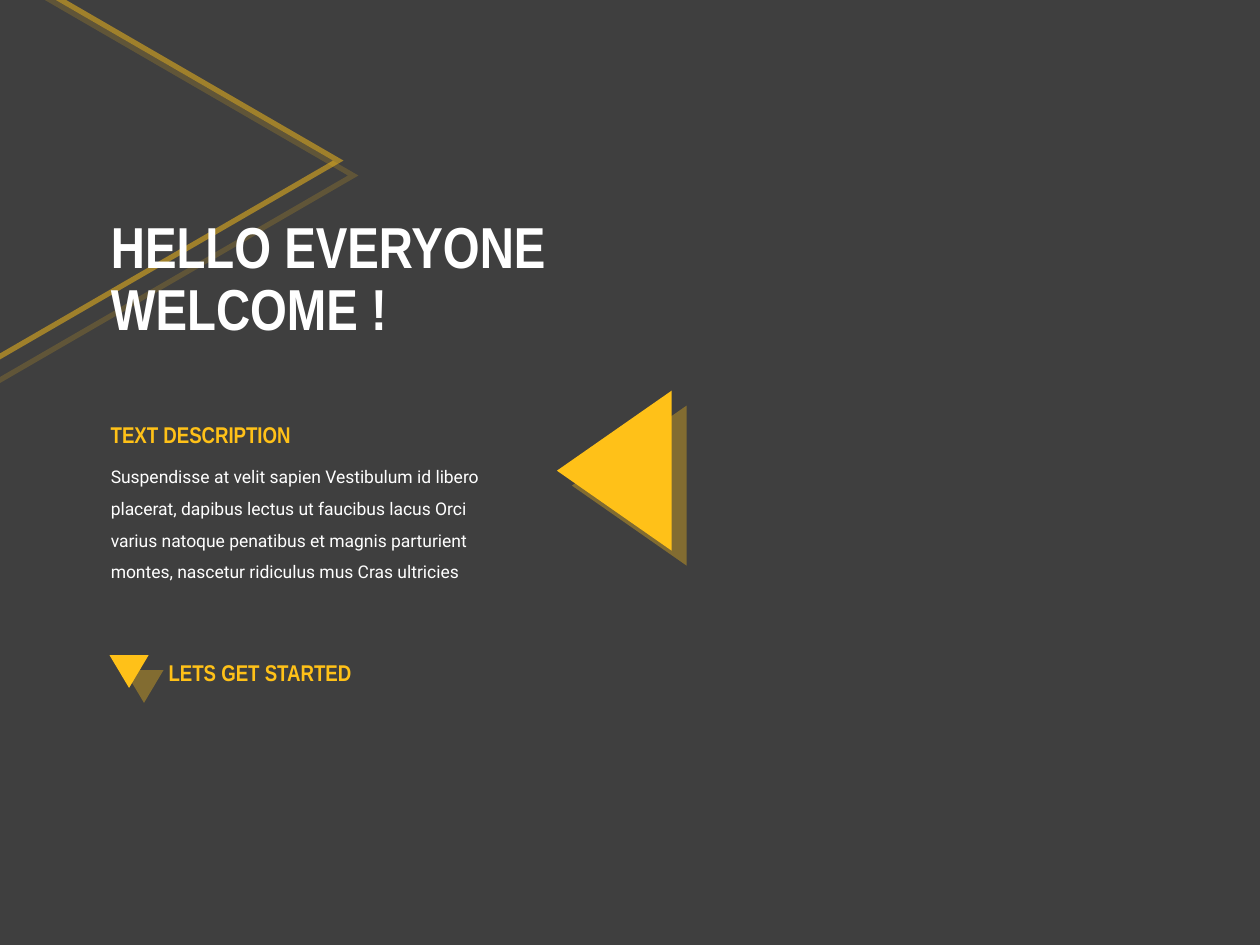
from lxml import etree
from pptx import Presentation
from pptx.dml.color import RGBColor
from pptx.enum import shapes, text
from pptx.oxml.ns import qn
from pptx.util import Pt

GOLD, WHITE, GREY = "FFC118", "FFFFFF", "3F3F3F"
HEADING, BODY = "Arial Narrow", "Roboto"
LEFT = 56.2


def paint(fill, colour):
    """Give a fill one solid colour."""
    fill.solid()
    fill.fore_color.rgb = RGBColor.from_string(colour)


def set_alpha(colour_element, percent):
    """Make a colour element partly transparent."""
    etree.SubElement(colour_element, qn("a:alpha"), val=str(percent * 1000))


def add_shadow(sp, colour):
    """Cast a sharp shadow to the lower right."""
    sp.shadow.inherit = False
    effects = sp.element.spPr.find(qn("a:effectLst"))
    shadow = etree.SubElement(effects, qn("a:outerShdw"), blurRad="0", dist=str(Pt(12.1)),
                              dir=str(45 * 60000), algn="tl", rotWithShape="0")
    set_alpha(etree.SubElement(shadow, qn("a:srgbClr"), val=colour), 35)


def add_triangle(slide, box, rotation, outlined=False):
    """Add a turned gold triangle, filled or in translucent outline."""
    sp = slide.shapes.add_shape(shapes.MSO_SHAPE.ISOSCELES_TRIANGLE, *map(Pt, box))
    sp.rotation = rotation
    if outlined:
        sp.fill.background()
        sp.line.width = Pt(3)
        paint(sp.line.fill, GOLD)
        ln = sp.element.spPr.find(qn("a:ln"))
        set_alpha(ln.find(".//" + qn("a:srgbClr")), 50)
        etree.SubElement(ln, qn("a:miter"), lim="800000")
    else:
        paint(sp.fill, GOLD)
        sp.line.fill.background()
    add_shadow(sp, GOLD)


def write(tf, words, font, size, colour, bold=False, spacing=1.0):
    """Write one left-aligned paragraph into a text frame."""
    tf.word_wrap = True
    tf.auto_size = text.MSO_AUTO_SIZE.NONE
    p = tf.paragraphs[0]
    p.text = words
    p.alignment = text.PP_ALIGN.LEFT
    p.line_spacing = spacing
    p.font.name, p.font.size, p.font.bold = font, Pt(size), bold
    p.font.color.rgb = RGBColor.from_string(colour)


def add_text(slide, box, *args, **style):
    """Add a wrapped text box."""
    write(slide.shapes.add_textbox(*map(Pt, box)).text_frame, *args, **style)


def add_title(slide, box, words):
    """Place the title in front of the shapes drawn so far."""
    title = slide.shapes.title
    title.left, title.top, title.width, title.height = map(Pt, box)
    slide.shapes.element.append(title.element)
    title.text_frame.vertical_anchor = text.MSO_ANCHOR.MIDDLE
    write(title.text_frame, words, HEADING, 33, WHITE, bold=True, spacing=0.9)


def main():
    """Build the welcome slide."""
    prs = Presentation()
    prs.slide_width, prs.slide_height = Pt(720), Pt(540)
    slide = prs.slides.add_slide(prs.slide_layouts[5])
    paint(slide.background.fill, GREY)

    add_triangle(slide, (-28.1, -10.8, 237.6, 205.2), 90, outlined=True)
    add_title(slide, (LEFT, 103.7, 303.8, 113.8), "HELLO EVERYONE\vWELCOME !")
    add_triangle(slide, (305.3, 236.2, 91.4, 65.5), 270)
    add_text(slide, (LEFT, 257, 243.4, 79.2),
             "Suspendisse at velit sapien Vestibulum id libero placerat, dapibus lectus ut "
             "faucibus lacus Orci varius natoque penatibus et magnis parturient montes, "
             "nascetur ridiculus mus Cras ultricies", BODY, 10, WHITE, spacing=1.5)
    add_text(slide, (LEFT, 236.9, 132.5, 38.9), "TEXT DESCRIPTION", HEADING, 13, GOLD, bold=True)
    add_triangle(slide, (62.6, 374.4, 22.3, 18.7), 180)
    add_text(slide, (89.3, 373, 132.5, 23), "LETS GET STARTED", HEADING, 13, GOLD, bold=True)

    prs.save("out.pptx")


main()
